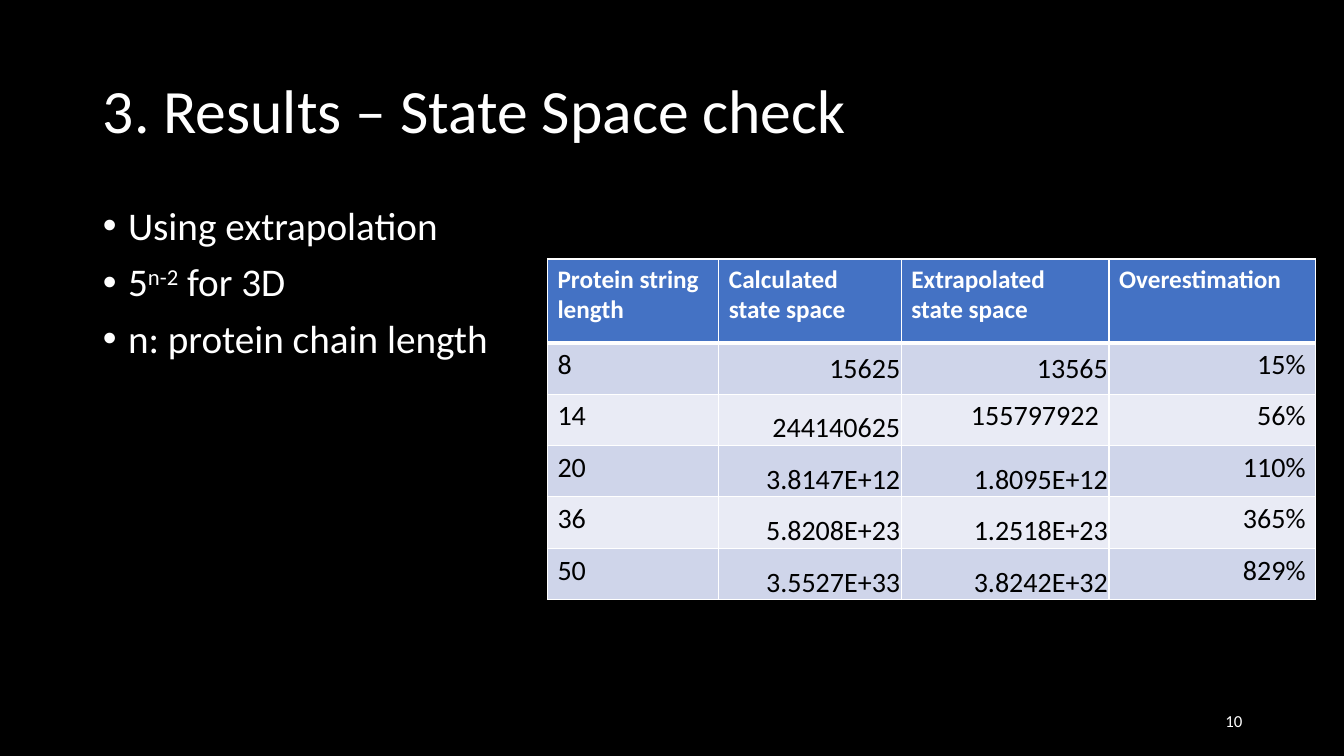
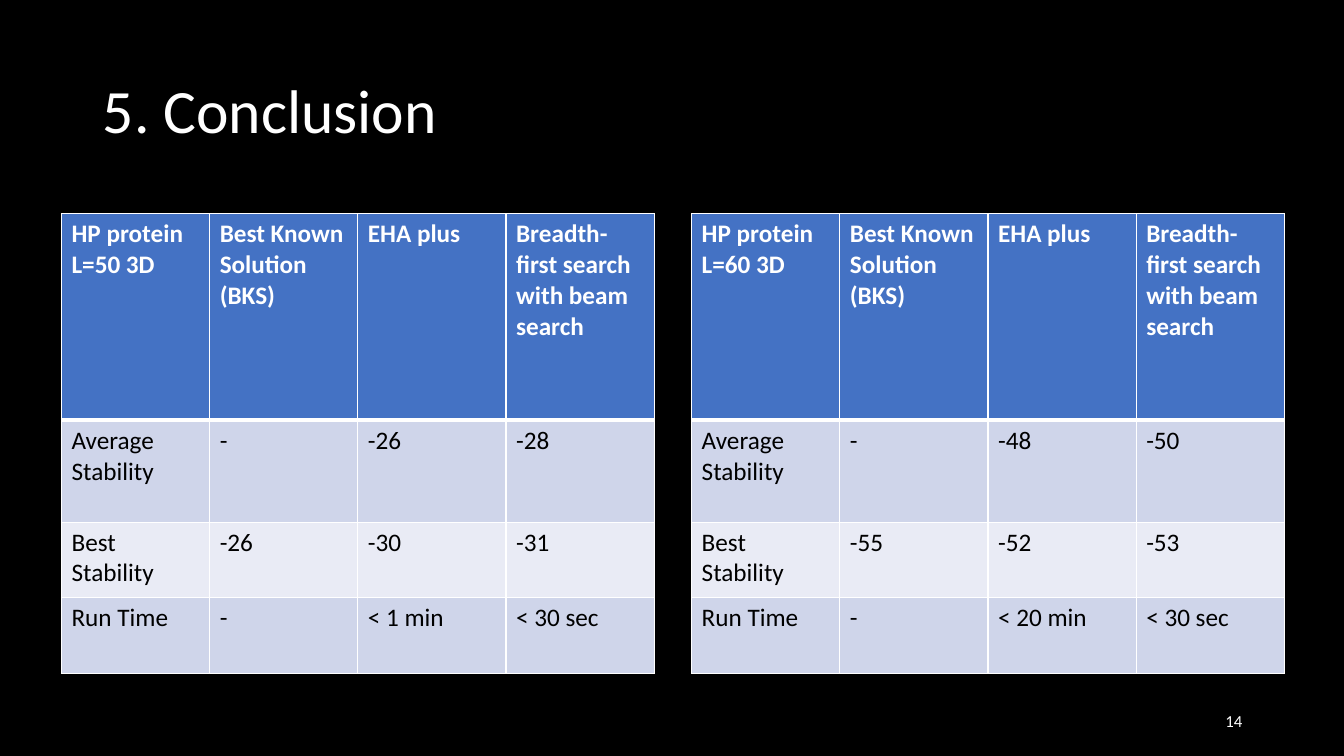
from pptx import Presentation
from pptx.dml.color import RGBColor
from pptx.enum.text import MSO_ANCHOR, MSO_AUTO_SIZE, PP_ALIGN
from pptx.oxml.ns import qn
from pptx.util import Pt
from lxml import etree

LEFT, RIGHT = PP_ALIGN.LEFT, PP_ALIGN.RIGHT
TOP, MIDDLE, BOTTOM = MSO_ANCHOR.TOP, MSO_ANCHOR.MIDDLE, MSO_ANCHOR.BOTTOM
NO_FIT = MSO_AUTO_SIZE.NONE

BLACK = RGBColor(0x00, 0x00, 0x00)
WHITE = RGBColor(0xFF, 0xFF, 0xFF)
HEADER_BLUE = RGBColor(0x44, 0x72, 0xC4)
BANDS = (RGBColor(0xE9, 0xEB, 0xF5), RGBColor(0xCF, 0xD5, 0xEA))

PX = 9144
FONT = "Calibri"
TITLE_BOX = (92, 40, 1150, 145)
PAGE_BOX = (942, 695, 300, 40)
TIGHT = {"margin_left": PX, "margin_top": PX, "margin_right": PX, "margin_bottom": 0}


def apply(target, values):
    """Set each named attribute of the target."""
    for name, value in values.items():
        setattr(target, name, value)


class Deck:
    """Hold the shared style, the presentation and the current slide."""

    def __init__(self):
        """Start a wide presentation on a black background."""
        self.prs = Presentation()
        apply(self.prs, {"slide_width": 1333 * PX, "slide_height": 750 * PX})
        fill = self.prs.slide_master.background.fill
        fill.solid()
        fill.fore_color.rgb = BLACK
        self.s = None

    def place(self, sp, box):
        """Move a shape to a box given in px."""
        names = ("left", "top", "width", "height")
        apply(sp, {name: value * PX for name, value in zip(names, box)})

    def run(self, p, text, size, color=WHITE, bold=False):
        """Add a formatted run to a paragraph."""
        r = p.add_run()
        r.text = text
        apply(r.font, {"name": FONT, "size": Pt(size), "bold": bold})
        r.font.color.rgb = color
        return r

    def slide(self, layout, title, page):
        """Add a slide with its title and page number."""
        self.s = self.prs.slides.add_slide(self.prs.slide_layouts[layout])
        sp = self.s.shapes.title
        self.place(sp, TITLE_BOX)
        tf = sp.text_frame
        apply(tf, {"vertical_anchor": MIDDLE, "auto_size": NO_FIT})
        p = tf.paragraphs[0]
        apply(p, {"alignment": LEFT, "line_spacing": 0.9})
        self.run(p, title, 44)

        tf = self.s.shapes.add_textbox(*(v * PX for v in PAGE_BOX)).text_frame
        apply(tf, {"vertical_anchor": MIDDLE, "word_wrap": True})
        p = tf.paragraphs[0]
        p.alignment = RIGHT
        self.run(p, page, 12)

    def bullets(self, box, items):
        """Fill the body with items of (text, baseline) parts."""
        sp = self.s.placeholders[1]
        self.place(sp, box)
        tf = sp.text_frame
        tf.auto_size = NO_FIT
        for i, parts in enumerate(items):
            p = tf.add_paragraph() if i else tf.paragraphs[0]
            apply(p, {"line_spacing": 0.9, "space_before": Pt(10)})
            pPr = p._p.get_or_add_pPr()
            pPr.set("marL", str(25 * PX))
            pPr.set("indent", str(-25 * PX))
            for text, baseline in parts:
                r = self.run(p, text, 28)
                if baseline:
                    r.font._element.set("baseline", str(baseline * 1000))

    def borders(self, cell, top, bottom):
        """Draw white borders with the given top and bottom widths."""
        tcPr = cell._tc.get_or_add_tcPr()
        for side, width in (("L", 1), ("R", 1), ("T", top), ("B", bottom)):
            ln = etree.SubElement(tcPr, qn(f"a:ln{side}"), w=str(Pt(width)))
            fill = etree.SubElement(ln, qn("a:solidFill"))
            etree.SubElement(fill, qn("a:srgbClr"), val=str(WHITE))

    def table(self, at, widths, heights, rows, size, aligns, tight=None):
        """Add a banded table; tight maps (row, column) to an anchor."""
        tight = tight or {}
        box = (*at, sum(widths), sum(heights))
        table = self.s.shapes.add_table(
            len(rows), len(widths), *(v * PX for v in box)).table
        for column, width in zip(table.columns, widths):
            column.width = width * PX
        for i, (row, height) in enumerate(zip(rows, heights)):
            table.rows[i].height = height * PX
            for j, text in enumerate(row):
                cell = table.cell(i, j)
                self.borders(cell, 3 if i == 1 else 1, 1 if i else 3)
                cell.fill.solid()
                cell.fill.fore_color.rgb = BANDS[i % 2] if i else HEADER_BLUE
                cell.vertical_anchor = tight.get((i, j), TOP)
                if (i, j) in tight:
                    apply(cell, TIGHT)
                p = cell.text_frame.paragraphs[0]
                p.alignment = aligns[j] if i else LEFT
                if i:
                    self.run(p, text, size, BLACK)
                else:
                    self.run(p, text, 18, bold=True)


def results(deck):
    """Build the state space slide."""
    deck.slide(1, "3. Results – State Space check", "10")
    deck.bullets((92, 200, 567, 476), [
        [("Using extrapolation", 0)],
        [("5", 0), ("n-2", 30), (" for 3D", 0)],
        [("n: protein chain length", 0)],
    ])
    rows = [
        ("Protein string length", "Calculated state space",
         "Extrapolated state space", "Overestimation"),
        ("8", "15625", "13565", "15%"),
        ("14", "244140625", "155797922", "56%"),
        ("20", "3.8147E+12", "1.8095E+12", "110%"),
        ("36", "5.8208E+23", "1.2518E+23", "365%"),
        ("50", "3.5527E+33", "3.8242E+32", "829%"),
    ]
    tight = {(i, j): MIDDLE if i == 1 else BOTTOM
             for i in range(1, 6) for j in (1, 2) if (i, j) != (2, 2)}
    deck.table((543, 257), (170, 181, 206, 205), [83] + [51] * 5, rows, 20,
               (LEFT, RIGHT, RIGHT, RIGHT), tight)


def conclusion(deck):
    """Build the slide that compares two protein lengths."""
    deck.slide(5, "5. Conclusion", "14")
    proteins = [
        ("50", ("-", "-26", "-28"), ("-26", "-30", "-31"), "< 1 min"),
        ("60", ("-", "-48", "-50"), ("-55", "-52", "-53"), "< 20 min"),
    ]
    for i, (length, average, best, run_time) in enumerate(proteins):
        rows = [
            (f"HP protein L={length} 3D", "Best Known Solution (BKS)",
             "EHA plus", "Breadth-first search with beam search"),
            ("Average Stability", *average),
            ("Best Stability", *best),
            ("Run Time", "-", run_time, "< 30 sec"),
        ]
        deck.table((61 + i * 625, 212), [147] * 4, (205, 101, 75, 75), rows,
                   18, [LEFT] * 4)


def main():
    """Build and save the presentation."""
    deck = Deck()
    results(deck)
    conclusion(deck)
    deck.prs.save("out.pptx")


if __name__ == "__main__":
    main()
